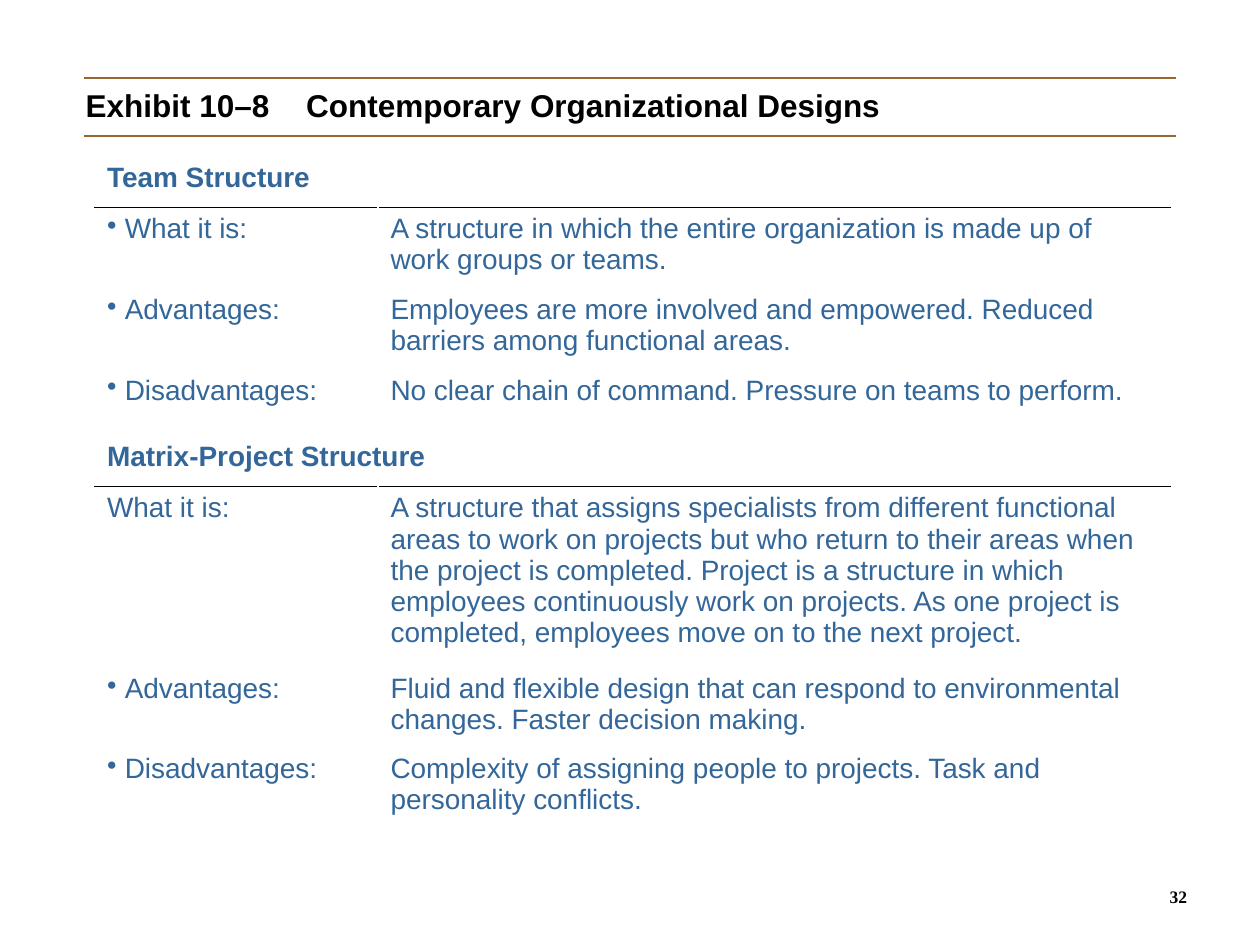
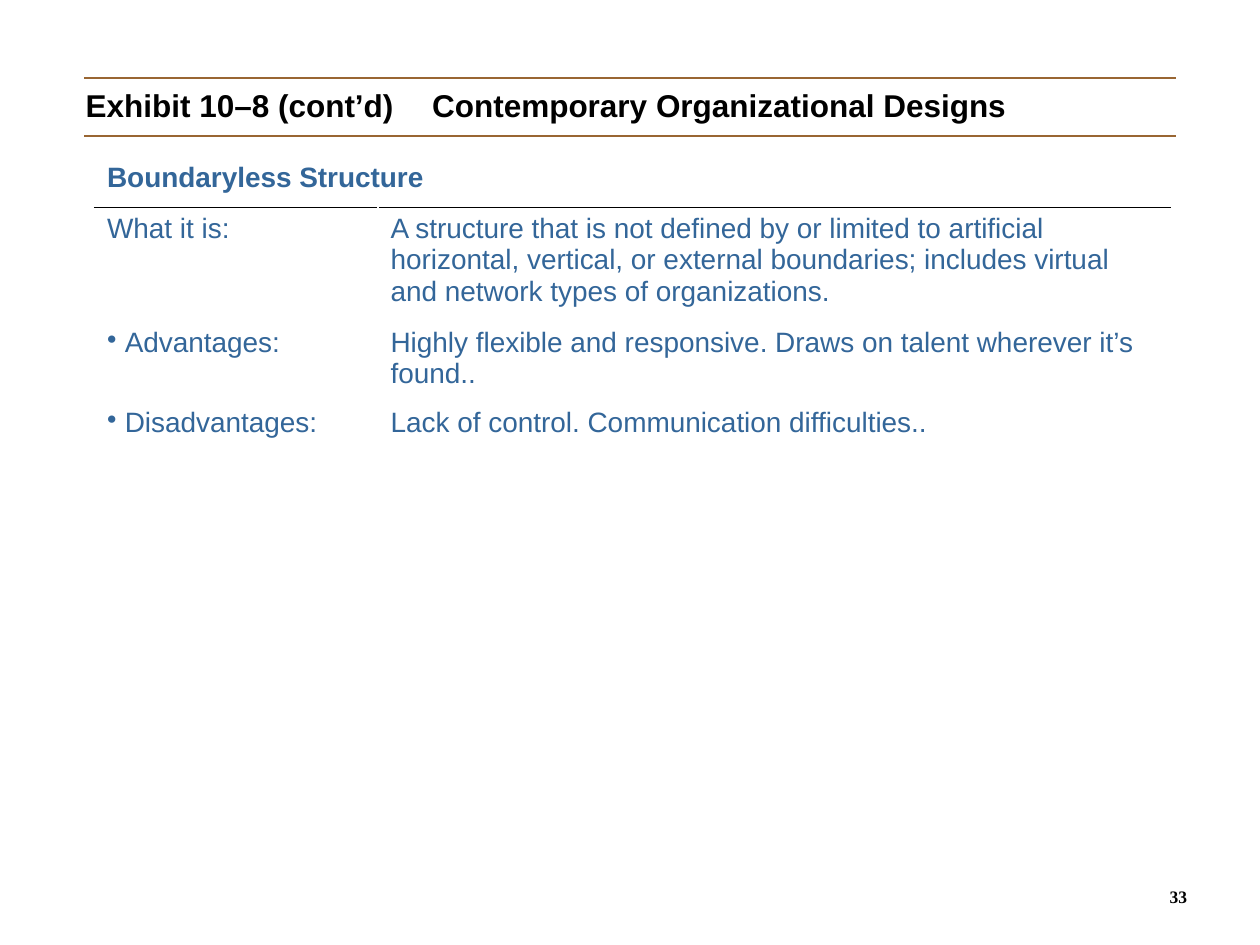
"""Build two exhibit slides on contemporary organizational designs."""
from pptx import Presentation
from pptx import util as u
from pptx.dml.color import RGBColor
from pptx.enum import shapes, text
from pptx.oxml import parse_xml
from pptx.oxml.ns import nsdecls

BLACK, BLUE, BROWN = "000000", "336699", "996633"
TITLE_ONLY = 5
RULE_LEFT, RULE_RIGHT = 0.67, 9.33
COLUMNS = (2.25, 0.58, 5.71)
HEADER_HEIGHT = 0.4
BULLET_INDENT = 0.14
WHAT, PROS, CONS = "What it is:", "Advantages:", "Disadvantages:"

EXHIBITS = [
    {
        "title": ("Exhibit 10–8", "Contemporary Organizational Designs"),
        "tab": 1.75, "title_height": 0.4, "number": 32,
        "sections": [
            ("Team Structure", [
                (True, WHAT, "A structure in which the entire organization is made up "
                 "of work groups or teams.", 0.64),
                (True, PROS, "Employees are more involved and empowered. Reduced "
                 "barriers among functional areas.", 0.64),
                (True, CONS, "No clear chain of command. Pressure on teams to "
                 "perform.", 0.53),
            ]),
            ("Matrix-Project Structure", [
                (False, WHAT, "A structure that assigns specialists from different "
                 "functional areas to work on projects but who return to their areas "
                 "when the project is completed. Project is a structure in which "
                 "employees continuously work on projects. As one project is "
                 "completed, employees move on to the next project.", 1.43),
                (True, PROS, "Fluid and flexible design that can respond to "
                 "environmental changes. Faster decision making.", 0.64),
                (True, CONS, "Complexity of assigning people to projects. Task and "
                 "personality conflicts.", 0.64),
            ]),
        ],
    },
    {
        "title": ("Exhibit 10–8 (cont’d)", "Contemporary Organizational Designs"),
        "tab": 2.75, "title_height": 0.7, "number": 33,
        "sections": [
            ("Boundaryless Structure", [
                (False, WHAT, "A structure that is not defined by or limited to "
                 "artificial horizontal, vertical, or external boundaries; includes "
                 "virtual and network types of organizations.", 0.9),
                (True, PROS, "Highly flexible and responsive. Draws on talent wherever "
                 "it’s found..", 0.64),
                (True, CONS, "Lack of control. Communication difficulties..", 0.37),
            ]),
        ],
    },
]


def rgb(color):
    """Turn a hex string into a colour."""
    return RGBColor.from_string(color)


def style(p, size, color, bold=False, name="Arial"):
    """Format every run of a paragraph."""
    for r in p.runs:
        r.font.size, r.font.bold, r.font.name = u.Pt(size), bold, name
        r.font.color.rgb = rgb(color)


def hang(p, indent, bullet=None):
    """Give a paragraph a hanging indent and an optional bullet."""
    pPr = p._p.get_or_add_pPr()
    pPr.set("marL", str(u.Inches(indent)))
    pPr.set("indent", str(-u.Inches(indent)))
    if bullet:
        pPr.append(parse_xml(f'<a:buChar {nsdecls("a")} char="{bullet}"/>'))


def add_rule(s, y):
    """Draw one brown rule across the slide."""
    sp = s.shapes.add_connector(shapes.MSO_CONNECTOR.STRAIGHT, u.Inches(RULE_LEFT),
                                u.Inches(y), u.Inches(RULE_RIGHT), u.Inches(y))
    sp.line.color.rgb, sp.line.width = rgb(BROWN), u.Pt(1.5)
    sp._element.spPr.append(parse_xml(f'<a:effectLst {nsdecls("a")}/>'))


def add_title(s, parts, tab, left, top, width, height):
    """Fill the title placeholder, its two parts set apart by a tab."""
    sp = s.shapes.title
    sp.left, sp.top, sp.width, sp.height = map(u.Inches, (left, top, width, height))
    tf = sp.text_frame
    tf.auto_size, tf.word_wrap = text.MSO_AUTO_SIZE.NONE, True
    tf.vertical_anchor = text.MSO_ANCHOR.TOP
    p = tf.paragraphs[0]
    p.text = "\t".join(parts)
    p.alignment = text.PP_ALIGN.LEFT
    hang(p, tab)
    style(p, 18, BLACK, bold=True)


def add_border(cell, side):
    """Draw a thin black border on one side of a cell."""
    cell._tc.get_or_add_tcPr().insert(0, parse_xml(
        f'<a:{side} {nsdecls("a")} w="{u.Pt(0.45)}"><a:solidFill>'
        f'<a:srgbClr val="{BLACK}"/></a:solidFill></a:{side}>'))


def fill_cell(cell, words, bold=False, bullet=None):
    """Write one table cell."""
    p = cell.text_frame.paragraphs[0]
    p.text = words
    if bullet:
        hang(p, BULLET_INDENT, bullet)
    style(p, 16, BLUE, bold)


def add_structures(s, sections, left, top):
    """Add the table of structures, each a heading above its rows."""
    heights = [h for _, rows in sections
               for h in (HEADER_HEIGHT, *(row[-1] for row in rows))]
    frame = s.shapes.add_table(len(heights), len(COLUMNS), u.Inches(left), u.Inches(top),
                               u.Inches(sum(COLUMNS)), u.Inches(sum(heights)))
    table = frame.table
    table.first_row = table.horz_banding = False
    for column, width in zip(table.columns, COLUMNS):
        column.width = u.Inches(width)
    for row, height in zip(table.rows, heights):
        row.height = u.Inches(height)
    for cell in table.iter_cells():
        cell.fill.background()

    i = 0
    for heading, rows in sections:
        table.cell(i, 0).merge(table.cell(i, 1))
        fill_cell(table.cell(i, 0), heading, bold=True)
        for j in range(len(COLUMNS)):
            add_border(table.cell(i, j), "lnB")
            add_border(table.cell(i + 1, j), "lnT")
        for i, (bulleted, label, detail, _) in enumerate(rows, i + 1):
            table.cell(i, 1).merge(table.cell(i, 2))
            fill_cell(table.cell(i, 0), label, bullet="•" if bulleted else None)
            fill_cell(table.cell(i, 1), detail)
        i += 1


def add_number(s, number, left, top, width, height):
    """Write the slide number at the bottom right."""
    sp = s.shapes.add_textbox(*map(u.Inches, (left, top, width, height)))
    tf = sp.text_frame
    tf.word_wrap = True
    tf.margin_left = tf.margin_right = 0
    tf.vertical_anchor = text.MSO_ANCHOR.BOTTOM
    p = tf.paragraphs[0]
    p.text = str(number)
    p.alignment = text.PP_ALIGN.RIGHT
    style(p, 10, BLACK, bold=True, name="Times New Roman")


def add_exhibit(prs, exhibit):
    """Add one exhibit slide."""
    s = prs.slides.add_slide(prs.slide_layouts[TITLE_ONLY])
    add_title(s, exhibit["title"], exhibit["tab"], 0.58, 0.63, 8.83,
              exhibit["title_height"])
    for y in (1.08, 0.62):
        add_rule(s, y)
    add_structures(s, exhibit["sections"], 0.75, 1.24)
    add_number(s, exhibit["number"], 7, 6.75, 2.42, 0.5)


def main():
    """Build and save the presentation."""
    prs = Presentation()
    prs.slide_width, prs.slide_height = u.Inches(10), u.Inches(7.5)
    for exhibit in EXHIBITS:
        add_exhibit(prs, exhibit)
    prs.save("out.pptx")


if __name__ == "__main__":
    main()
